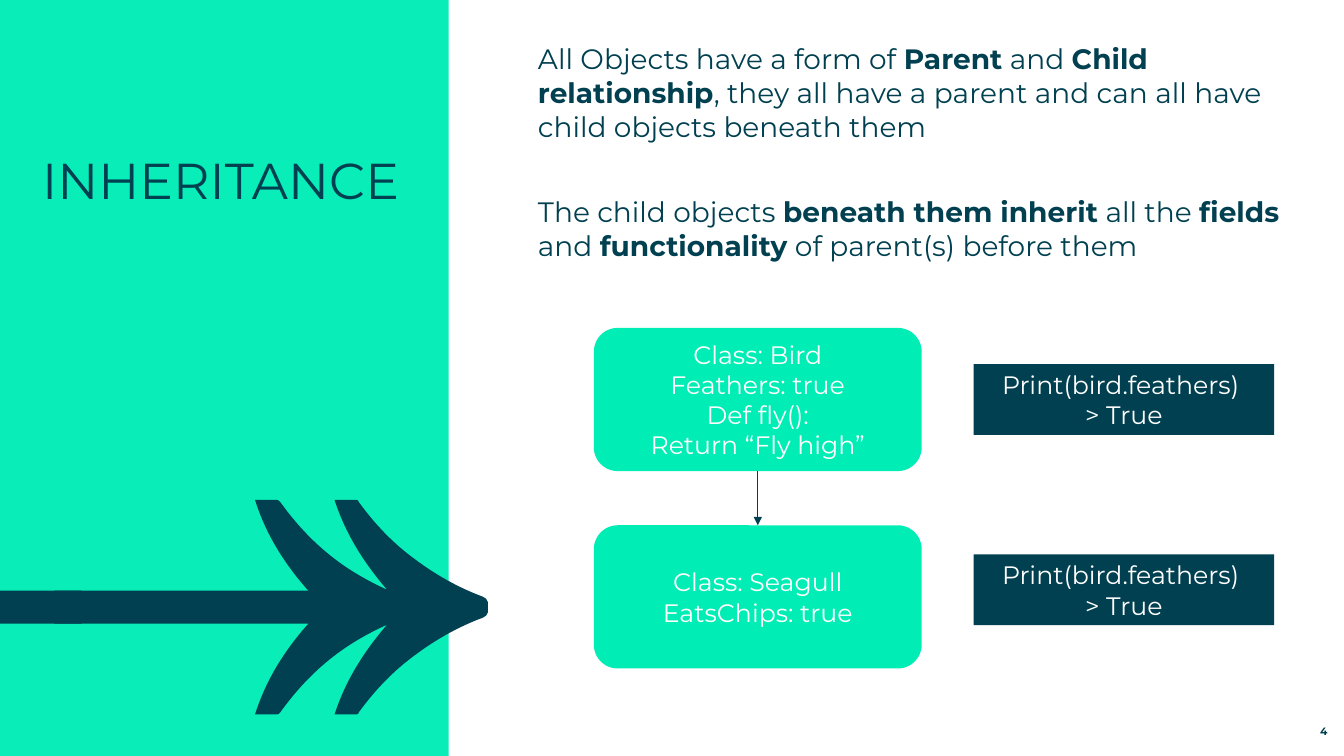
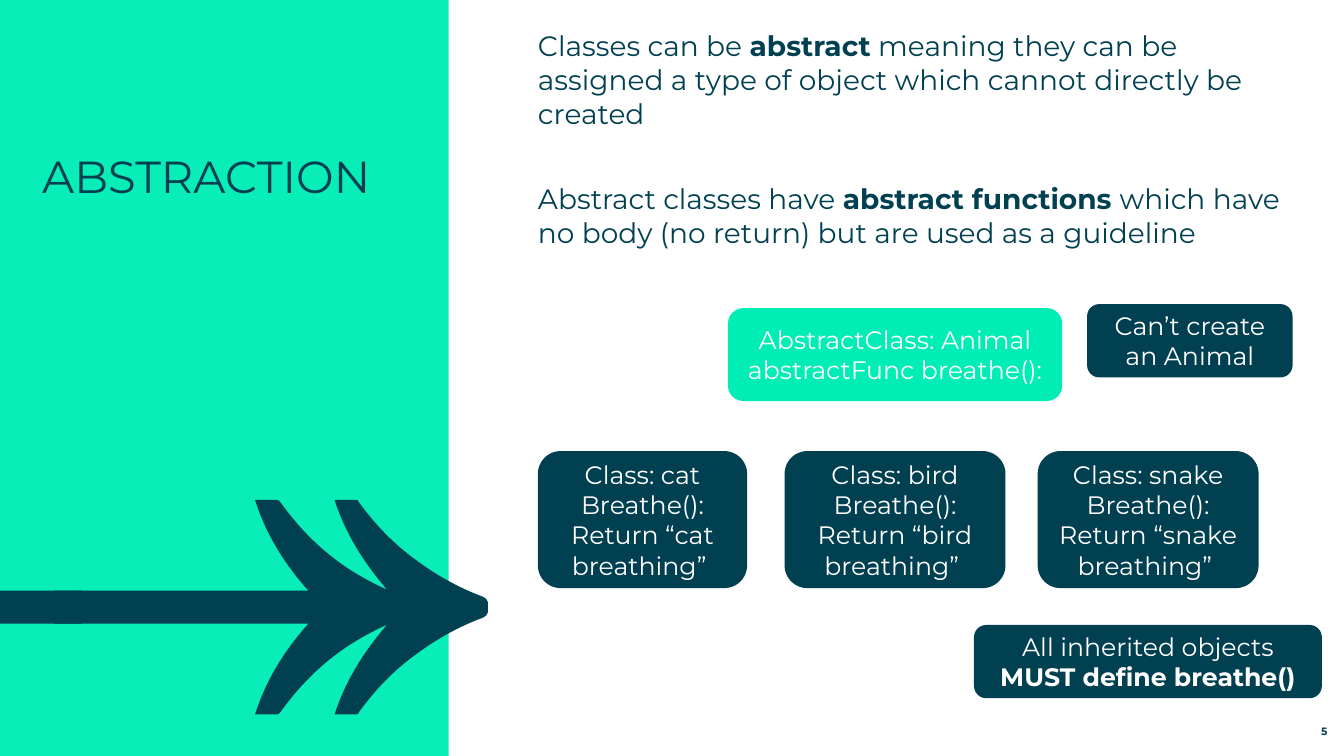
from pptx import Presentation
from pptx.dml.color import RGBColor
from pptx.enum.shapes import MSO_CONNECTOR, MSO_SHAPE
from pptx.enum.text import MSO_ANCHOR, PP_ALIGN
from pptx.oxml.ns import qn
from pptx.util import Pt
from lxml.etree import Element, SubElement

MINT = RGBColor(0x09, 0xED, 0xB8)
BRIGHT_MINT = RGBColor(0x00, 0xED, 0xB5)
NAVY = RGBColor(0x00, 0x40, 0x50)
WHITE = RGBColor(0xFF, 0xFF, 0xFF)
FONT = "Montserrat"
SLIDE_WIDTH, SLIDE_HEIGHT = 960, 540
ROUNDED, SQUARE = MSO_SHAPE.ROUNDED_RECTANGLE, MSO_SHAPE.RECTANGLE

PANEL = (0, 0, 320.4, SLIDE_HEIGHT)
PANEL_ACCENT = (59.8, 60.5, 30.2, 8.6)
SHAFT_END = (0, 421.9, 58.3, 23.6)

ARROW_AXIS = 433.7
ARROW_START = (38.9, 421.9)
ARROW_UPPER_HALF = [
    [(220.3, 421.9)],
    [(203, 402.5), (190, 381.6), (182.2, 357.1)],
    [(198, 357.1)],
    [(199, 357.1), (199.4, 357.8), (200.2, 358.6)],
    [(209.5, 371.5), (220.3, 383.8), (233.3, 394.6)],
    [(246.2, 405.4), (260.6, 414), (276.5, 421.2)],
    [(259.9, 401.8), (247, 381.6), (239, 357.1)],
    [(254.9, 357.1)],
    [(255.6, 357.1), (256.3, 357.8), (256.3, 358.6)],
    [(267.8, 374.4), (280.8, 388.1), (296.6, 399.6)],
    [(311, 410.4), (327.6, 419.8), (344.9, 426.2)],
    [(346.3, 427), (348.5, 428), (348.5, 430)],
]

PARENT_BOX = (424.2, 234.2, 234.2, 102.3)
CHILD_BOX = (424.2, 375.2, 234.2, 102.3)
PRINT_LINES = ["Print(bird.feathers) ", "> True"]

SLIDES = [
    {
        "title": "INHERITANCE", "title_size": 36, "number": "4", "body_top": 29.9,
        "body": [
            "All Objects have a form of **Parent** and **Child relationship**, "
            "they all have a parent and can all have child objects beneath them",
            "The child objects **beneath them inherit** all the **fields** and "
            "**functionality** of parent(s) before them",
        ],
        "boxes": [
            (ROUNDED, BRIGHT_MINT, PARENT_BOX,
             ["Class: Bird", "Feathers: true", "Def fly():", "Return “Fly high”"]),
            (ROUNDED, BRIGHT_MINT, CHILD_BOX, ["Class: Seagull", "EatsChips: true"]),
            (SQUARE, NAVY, (695.5, 260.1, 214.6, 50.6), PRINT_LINES),
            (SQUARE, NAVY, (695.5, 396, 214.6, 50.6), PRINT_LINES),
        ],
        "arrows": [(PARENT_BOX, CHILD_BOX)],
    },
    {
        "title": "ABSTRACTION", "title_size": 32, "number": "5", "body_top": 20.6,
        "body": [
            "Classes can be **abstract** meaning they can be assigned a type of "
            "object which cannot directly be created",
            "Abstract classes have **abstract functions **which have no body "
            "(no return) but are used as a guideline",
        ],
        "boxes": [
            (ROUNDED, BRIGHT_MINT, (520, 220.1, 238.8, 66.4),
             ["AbstractClass: Animal", "abstractFunc breathe():"]),
            (ROUNDED, NAVY, (384.2, 322.2, 149.5, 97.9),
             ["Class: cat", "Breathe():", "Return “cat breathing” "]),
            (ROUNDED, NAVY, (741.2, 322.2, 157.8, 97.9),
             ["Class: snake", "Breathe():", "Return “snake breathing” "]),
            (ROUNDED, NAVY, (560.4, 322.2, 157.8, 97.9),
             ["Class: bird Breathe():", "Return “bird breathing” "]),
            (ROUNDED, NAVY, (776.5, 217.2, 146.8, 52.4), ["Can’t create an Animal"]),
            (ROUNDED, NAVY, (695.7, 446.4, 248.5, 52.3),
             ["All inherited objects **MUST define breathe()**"]),
        ],
        "arrows": [],
    },
]


def apply_format(target, values):
    for name, value in values.items():
        setattr(target, name, value)


def write_text(shape, lines, size, color, frame_format, paragraph_format, bold=False):
    frame = shape.text_frame
    apply_format(frame, {"word_wrap": True, **frame_format})
    for index, line in enumerate(lines):
        paragraph = frame.paragraphs[0] if index == 0 else frame.add_paragraph()
        apply_format(paragraph, paragraph_format)
        for part, text in enumerate(line.split("**")):
            if text:
                run = paragraph.add_run()
                run.text = text
                apply_format(run.font, {"name": FONT, "size": Pt(size),
                                        "bold": bold or part % 2 == 1})
                run.font.color.rgb = color


def paint(shape, color):
    shape.shadow.inherit = False
    shape.fill.solid()
    shape.fill.fore_color.rgb = color
    shape.line.fill.background()


def add_text(slide, bounds, lines, size, anchor=MSO_ANCHOR.TOP, bold=False, **paragraph_format):
    shape = slide.shapes.add_textbox(*map(Pt, bounds))
    margins = {f"margin_{side}": 0 for side in ("left", "top", "right", "bottom")}
    write_text(shape, lines, size, NAVY, {**margins, "vertical_anchor": anchor},
               paragraph_format, bold)


def add_box(slide, kind, color, bounds, lines=()):
    shape = slide.shapes.add_shape(kind, *map(Pt, bounds))
    paint(shape, color)
    write_text(shape, lines, 18, WHITE, {"vertical_anchor": MSO_ANCHOR.MIDDLE},
               {"alignment": PP_ALIGN.CENTER})


def mirror(point):
    return point[0], 2 * ARROW_AXIS - point[1]


def arrow_segments():
    starts = [ARROW_START] + [segment[-1] for segment in ARROW_UPPER_HALF]
    tip = [mirror(starts[-1])]
    lower = [[mirror(point) for point in [start, *segment[:-1]][::-1]]
             for start, segment in zip(starts, ARROW_UPPER_HALF)]
    lower = [segment[:-1] + segment[-1:] for segment in lower]
    return ARROW_UPPER_HALF + [tip] + lower[::-1]


def add_feathered_arrow(slide):
    segments = arrow_segments()
    builder = slide.shapes.build_freeform(*map(Pt, ARROW_START))
    builder.add_line_segments([tuple(map(Pt, segment[-1])) for segment in segments], close=True)
    shape = builder.convert_to_shape()
    paint(shape, NAVY)
    for line, segment in zip(list(shape.element.iter(qn("a:lnTo"))), segments):
        if len(segment) == 3:
            line.tag = qn("a:cubicBezTo")
            for index, (x, y) in enumerate(segment[:2]):
                control = Element(qn("a:pt"), x=str(Pt(x) - shape.left), y=str(Pt(y) - shape.top))
                line.insert(index, control)


def add_arrow(slide, upper, lower):
    center = upper[0] + upper[2] / 2
    connector = slide.shapes.add_connector(
        MSO_CONNECTOR.STRAIGHT,
        *map(Pt, (center, upper[1] + upper[3], center, lower[1])))
    connector.line.color.rgb = NAVY
    connector.line.width = Pt(0.5)
    properties = connector.element.spPr
    SubElement(properties.find(qn("a:ln")), qn("a:tailEnd"), type="triangle")
    SubElement(properties, qn("a:effectLst"))


def add_slide(presentation, content):
    slide = presentation.slides.add_slide(presentation.slide_layouts[6])
    add_box(slide, SQUARE, MINT, PANEL)
    add_box(slide, SQUARE, MINT, PANEL_ACCENT)
    add_feathered_arrow(slide)
    add_box(slide, SQUARE, NAVY, SHAFT_END)
    add_text(slide, (30.2, 106.4, 271.4, 216.7), [content["title"]], content["title_size"])
    add_text(slide, (886.3, 512.6, 61.9, 14.4), [content["number"]], 7.6,
             MSO_ANCHOR.BOTTOM, True, alignment=PP_ALIGN.RIGHT)
    add_text(slide, (384.3, content["body_top"], 532.8, 169.2), content["body"], 20,
             space_after=Pt(37.3))
    for box in content["boxes"]:
        add_box(slide, *box)
    for upper, lower in content["arrows"]:
        add_arrow(slide, upper, lower)


def main():
    presentation = Presentation()
    apply_format(presentation, {"slide_width": Pt(SLIDE_WIDTH), "slide_height": Pt(SLIDE_HEIGHT)})
    for content in SLIDES:
        add_slide(presentation, content)
    presentation.save("out.pptx")


if __name__ == "__main__":
    main()
